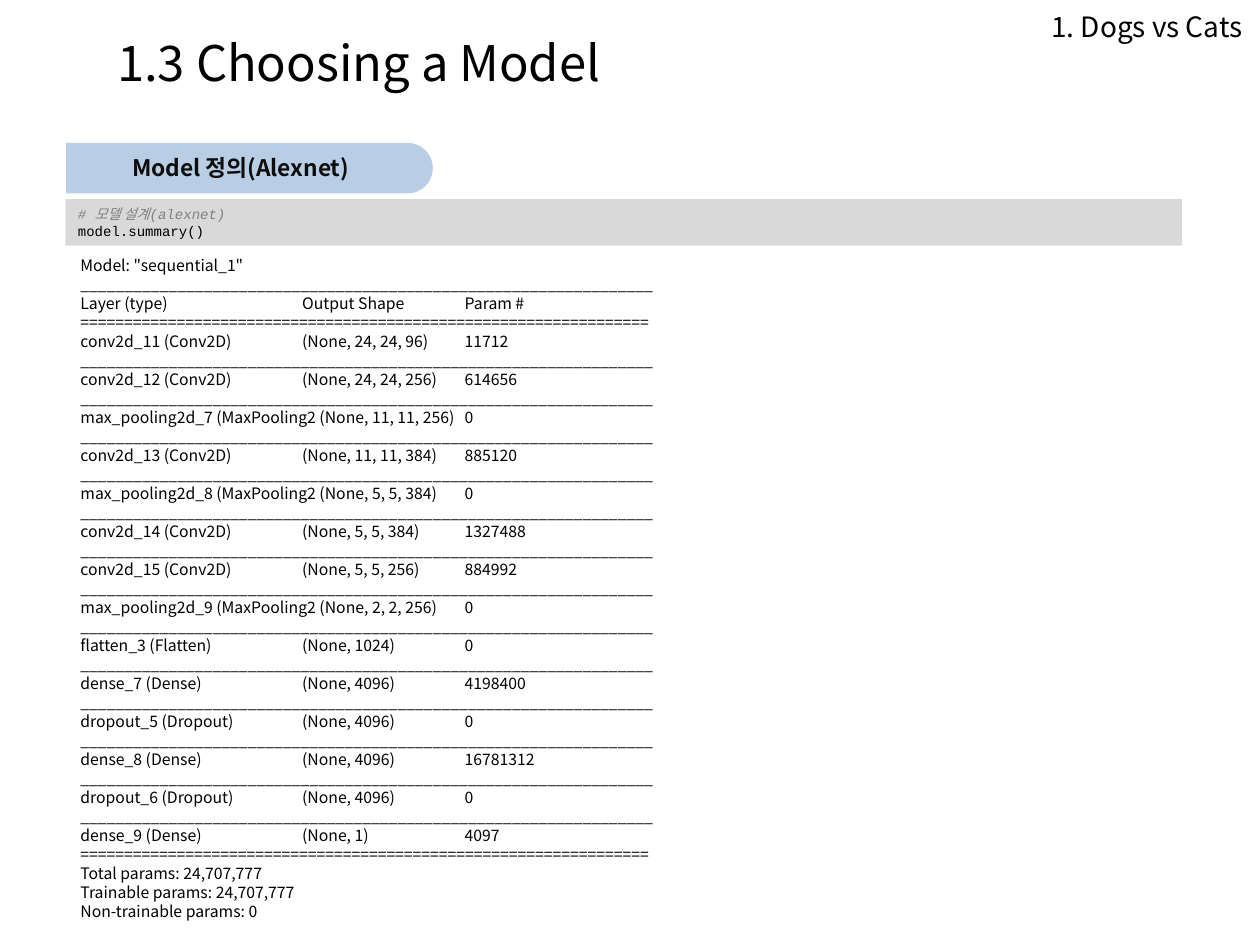
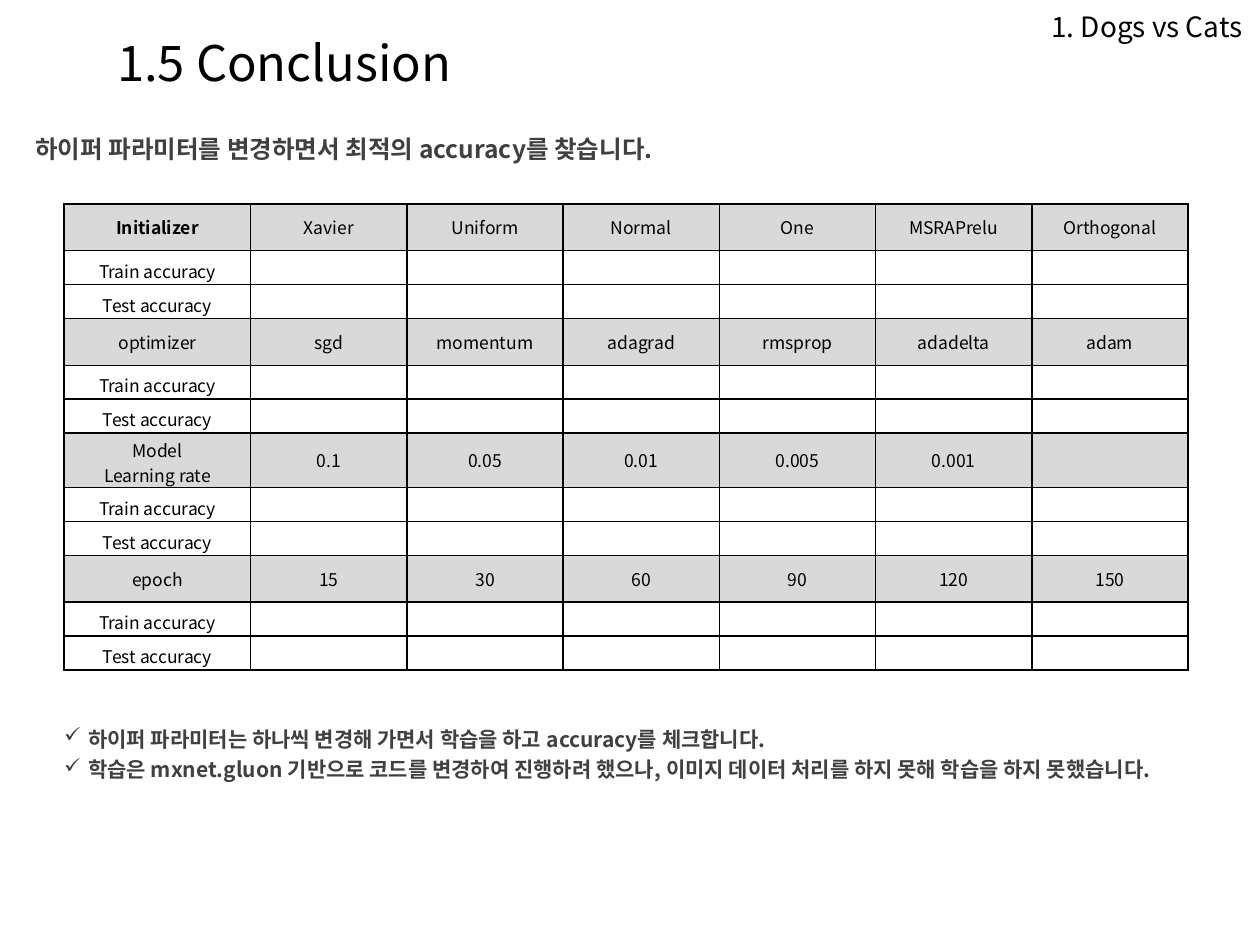
"""Build two slides on a dogs and cats classifier: model summary and conclusion."""
from lxml import etree
from pptx import Presentation
from pptx.dml.color import RGBColor
from pptx.enum.shapes import MSO_SHAPE
from pptx.enum.text import MSO_ANCHOR, MSO_AUTO_SIZE, PP_ALIGN
from pptx.oxml.ns import qn
from pptx.util import Inches, Pt

LEFT, MID, RIGHT = PP_ALIGN.LEFT, PP_ALIGN.CENTER, PP_ALIGN.RIGHT
TOP, CENTER = MSO_ANCHOR.TOP, MSO_ANCHOR.MIDDLE
NO_FIT = MSO_AUTO_SIZE.NONE
RECT, TAB = MSO_SHAPE.RECTANGLE, MSO_SHAPE.ROUND_2_SAME_RECTANGLE

FONT, CODE = "Noto Sans CJK KR", "Courier New"
COLORS = {
    "black": "000000", "ink": "0D0D0D", "dark": "404040",
    "note": "808080", "gray": "D9D9D9", "blue": "B9CDE5",
}
PAD = (0.1, 0.05, 0.1, 0.05)
FLUSH = (0, 0, 0, 0)

LAYERS = [
    ("conv2d_11 (Conv2D)", "(None, 24, 24, 96)", "11712"),
    ("conv2d_12 (Conv2D)", "(None, 24, 24, 256)", "614656"),
    ("max_pooling2d_7 (MaxPooling2", "(None, 11, 11, 256)", "0"),
    ("conv2d_13 (Conv2D)", "(None, 11, 11, 384)", "885120"),
    ("max_pooling2d_8 (MaxPooling2", "(None, 5, 5, 384)", "0"),
    ("conv2d_14 (Conv2D)", "(None, 5, 5, 384)", "1327488"),
    ("conv2d_15 (Conv2D)", "(None, 5, 5, 256)", "884992"),
    ("max_pooling2d_9 (MaxPooling2", "(None, 2, 2, 256)", "0"),
    ("flatten_3 (Flatten)", "(None, 1024)", "0"),
    ("dense_7 (Dense)", "(None, 4096)", "4198400"),
    ("dropout_5 (Dropout)", "(None, 4096)", "0"),
    ("dense_8 (Dense)", "(None, 4096)", "16781312"),
    ("dropout_6 (Dropout)", "(None, 4096)", "0"),
    ("dense_9 (Dense)", "(None, 1)", "4097"),
]
TOTALS = [
    "Total params: 24,707,777",
    "Trainable params: 24,707,777",
    "Non-trainable params: 0",
]
TRIALS = [
    ("Initializer", "Xavier", "Uniform", "Normal", "One", "MSRAPrelu", "Orthogonal"),
    ("optimizer", "sgd", "momentum", "adagrad", "rmsprop", "adadelta", "adam"),
    ("Model\nLearning rate", "0.1", "0.05", "0.01", "0.005", "0.001", ""),
    ("epoch", "15", "30", "60", "90", "120", "150"),
]
SCORES = ["Train accuracy", "Test accuracy"]
NOTES = [
    "하이퍼 파라미터는 하나씩 변경해 가면서 학습을 하고 accuracy를 체크합니다.",
    "학습은 mxnet.gluon 기반으로 코드를 변경하여 진행하려 했으나, "
    "이미지 데이터 처리를 하지 못해 학습을 하지 못했습니다.",
]


def rgb(name):
    """Return a palette colour."""
    return RGBColor.from_string(COLORS[name])


def ink(run, size, color="black", bold=False, face=FONT):
    """Format a run, with one font for Korean text."""
    font = run.font
    font.size, font.bold, font.name = Pt(size), bold, face
    font.color.rgb = rgb(color)
    etree.SubElement(run._r.get_or_add_rPr(), qn("a:ea"), typeface=FONT)


def style(frame, size, color="black", bold=False, align=LEFT, gap=None):
    """Format each paragraph of a frame."""
    for para in frame.paragraphs:
        para.alignment = align
        if gap:
            para.line_spacing = gap
        for run in para.runs:
            ink(run, size, color, bold)


def fit(frame, pad=PAD, anchor=TOP):
    """Set wrapping, insets and anchor of a frame."""
    frame.word_wrap, frame.auto_size = True, NO_FIT
    frame.vertical_anchor = anchor
    (frame.margin_left, frame.margin_top,
     frame.margin_right, frame.margin_bottom) = map(Inches, pad)


def add_text(slide, box, text, pad=PAD, anchor=TOP, **look):
    """Add a text box and return its frame."""
    frame = slide.shapes.add_textbox(*map(Inches, box)).text_frame
    fit(frame, pad, anchor)
    frame.text = text
    style(frame, **look)
    return frame


def add_block(slide, kind, box, color):
    """Add a flat shape without outline."""
    shape = slide.shapes.add_shape(kind, *map(Inches, box))
    shape.shadow.inherit = False
    shape.fill.solid()
    shape.fill.fore_color.rgb = rgb(color)
    shape.line.fill.background()
    return shape


def add_page(deck, title):
    """Add a slide with its title and chapter mark."""
    slide = deck.slides.add_slide(deck.slide_layouts[5])
    head = slide.shapes.title
    head.left, head.top, head.width, head.height = map(
        Inches, (0.83, 0.21, 7.48, 0.57))
    fit(head.text_frame, anchor=CENTER)
    head.text_frame.text = title
    style(head.text_frame, 28)
    add_text(slide, (6.73, 0.05, 3.23, 0.32), "1. Dogs vs Cats",
             anchor=CENTER, size=16, align=RIGHT)
    return slide


def add_label(slide, text):
    """Add a section label with a round right end."""
    tab = add_block(slide, TAB, (1.78, -0.12, 0.4, 2.91), "blue")
    tab.rotation = 90
    tab.adjustments[0], tab.adjustments[1] = 0.5, 0
    frame = add_block(slide, RECT, (0.54, 1.14, 2.74, 0.37), "blue").text_frame
    fit(frame, FLUSH, CENTER)
    frame.text = text
    style(frame, 13, "ink", True, MID)


def add_code(slide, note, code):
    """Add a code band with a comment line above the code."""
    frame = add_block(slide, RECT, (0.52, 1.58, 8.86, 0.37), "gray").text_frame
    fit(frame, anchor=CENTER)
    para = frame.paragraphs[0]
    para.alignment = LEFT
    for text, face in note:
        run = para.add_run()
        run.text = text
        ink(run, 8, "note", face=face)
        run.font.italic = True
    para.add_line_break()
    run = para.add_run()
    run.text = code
    ink(run, 8, face=CODE)


def layer_line(layer):
    """Join the columns of a layer, by a space after a long name."""
    name, shape, count = layer
    mark = " " if len(name) > 25 else "\t"
    return f"{name}{mark}{shape}\t{count}"


def add_summary(slide):
    """Add the ruled listing of layers."""
    thin, thick = "_" * 65, "=" * 65
    body = f"\n{thin}\n".join(map(layer_line, LAYERS))
    head = layer_line(("Layer (type)", "Output Shape", "Param #"))
    lines = ['Model: "sequential_1"', thin, head, thick, body, thick, *TOTALS]
    frame = add_text(slide, (0.54, 1.98, 8.84, 5.55), "\n".join(lines),
                     size=9, gap=Pt(10.85))
    for para in frame.paragraphs:
        if "\t" in para.text:
            stops = etree.SubElement(para._p.get_or_add_pPr(), qn("a:tabLst"))
            for stop in (1.76, 3.05):
                etree.SubElement(stops, qn("a:tab"), pos=str(Inches(stop)), algn="l")


def add_edges(cell):
    """Draw a thin black line on each side of a cell."""
    props = cell._tc.get_or_add_tcPr()
    for spot, side in enumerate("LRTB"):
        line = etree.Element(qn(f"a:ln{side}"), w=str(Pt(1)))
        fill = etree.SubElement(line, qn("a:solidFill"))
        etree.SubElement(fill, qn("a:srgbClr"), val=COLORS["black"])
        props.insert(spot, line)


def fill_cell(cell, text, head, bold):
    """Write and format one cell."""
    cell.vertical_anchor = CENTER
    cell.margin_top = Inches(0.03 if "\n" in text else 0.05)
    cell.margin_bottom = Inches(0.05 if head and "\n" not in text else 0)
    if head:
        cell.fill.solid()
        cell.fill.fore_color.rgb = rgb("gray")
    else:
        cell.fill.background()
    if text:
        cell.text_frame.text = text
        style(cell.text_frame, 10, bold=bold, align=MID)
    else:
        para = cell.text_frame.paragraphs[0]._p
        etree.SubElement(para, qn("a:endParaRPr"), sz="1000")
    add_edges(cell)


def add_trials(slide):
    """Add the table of settings, each with two empty score rows."""
    rows = []
    for trial in TRIALS:
        rows.append(trial)
        rows += [(score,) + ("",) * 6 for score in SCORES]
    table = slide.shapes.add_table(
        len(rows), 7, *map(Inches, (0.51, 1.62, 8.9, 3.67))).table
    table.first_row = table.horz_banding = False
    for col, part in enumerate(table.columns):
        part.width = Inches(1.24 if col else 1.48)
    for num, row in enumerate(rows):
        head = num % 3 == 0
        high = 0.43 if "\n" in row[0] else 0.37 if head else 0.27
        table.rows[num].height = Inches(high)
        for col, text in enumerate(row):
            fill_cell(table.cell(num, col), text, head, num == col == 0)


def add_notes(slide):
    """Add the closing remarks with check marks."""
    frame = add_text(slide, (0.51, 5.72, 8.98, 0.87), "\n".join(NOTES), FLUSH,
                     size=12, color="dark", bold=True, gap=1.22)
    for para in frame.paragraphs:
        props = para._p.get_or_add_pPr()
        props.set("marL", str(Inches(0.19)))
        props.set("indent", str(Inches(-0.19)))
        etree.SubElement(props, qn("a:buChar"), char="✓")


def main():
    """Build and save the deck."""
    deck = Presentation()
    deck.slide_width, deck.slide_height = Inches(10), Inches(7.5)

    model = add_page(deck, "1.3 Choosing a Model")
    add_label(model, "Model 정의(Alexnet)")
    add_code(model, [("# ", CODE), ("모델 설계", FONT), ("(alexnet)", CODE)],
             "model.summary()")
    add_summary(model)

    end = add_page(deck, "1.5 Conclusion")
    add_text(end, (0.28, 0.99, 9.45, 0.31),
             "하이퍼 파라미터를 변경하면서 최적의 accuracy를 찾습니다.", FLUSH,
             size=14, color="dark", bold=True, gap=1.3)
    add_trials(end)
    add_notes(end)
    deck.save("out.pptx")


if __name__ == "__main__":
    main()
